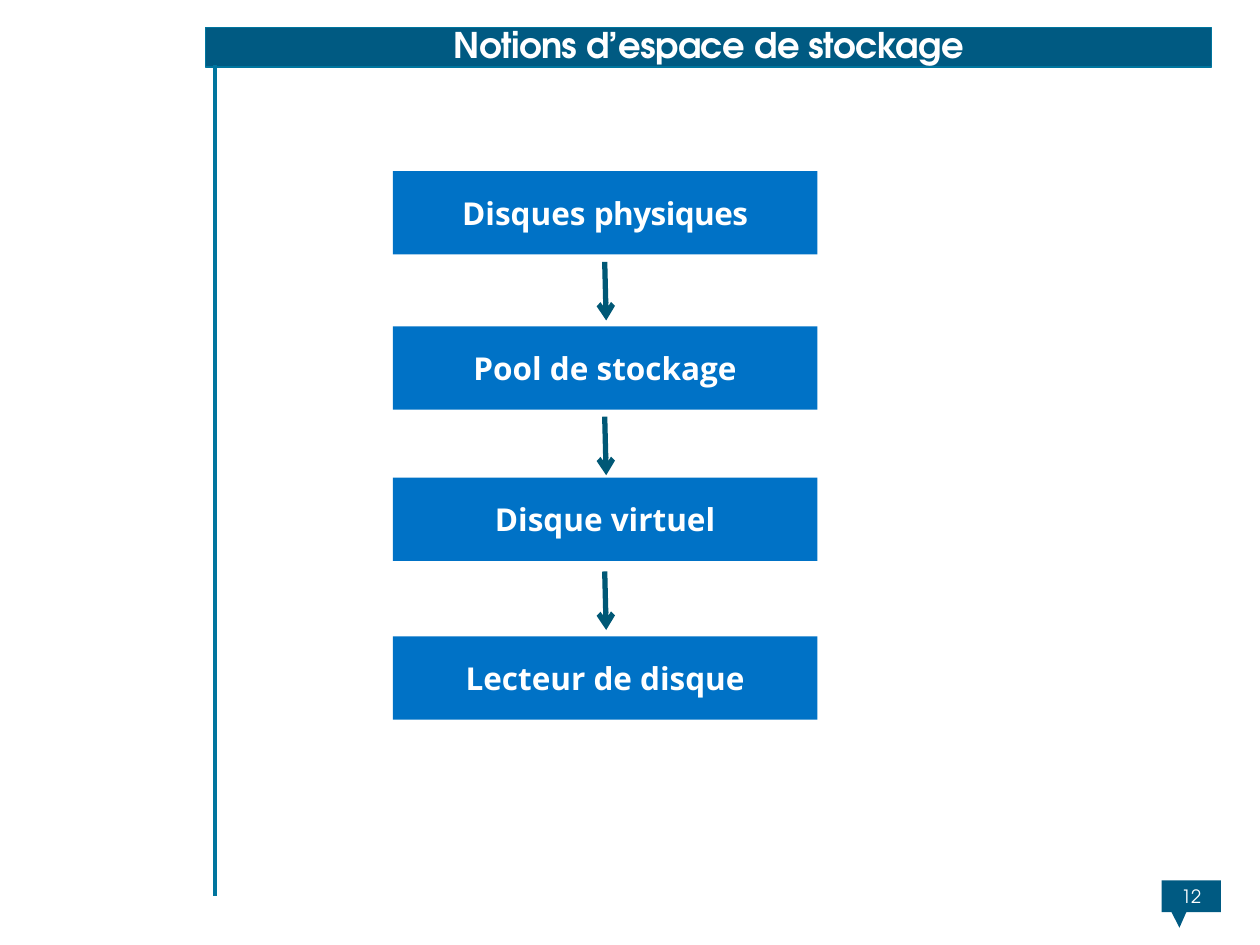
"""Build the storage space slide: a title bar and four linked steps."""
import dataclasses

import pptx
import pptx.dml.color
import pptx.enum.shapes
import pptx.enum.text
import pptx.oxml.ns
import pptx.util
from lxml import etree
from pptx.util import Cm

RGBColor = pptx.dml.color.RGBColor
Kind = pptx.enum.shapes.MSO_SHAPE
NAVY = RGBColor(0x00, 0x5A, 0x82)
TEAL = RGBColor(0x00, 0x75, 0x9E)
DARK = RGBColor(0x00, 0x58, 0x76)
BLUE = RGBColor(0x00, 0x72, 0xC6)
WHITE = RGBColor(0xFF, 0xFF, 0xFF)
HEAD_FONT = "TeX Gyre Adventor"
BODY_FONT = "Open Sans"


@dataclasses.dataclass
class Step:
    text: str
    top: float
    tight: str = ""
    inset: float = 0.25


STEPS = [
    Step("Disques ", 3.45, tight="physiques"),
    Step("Pool de stockage", 6.58, inset=0.2),
    Step("Disque virtuel", 9.63),
    Step("Lecteur de disque", 12.83),
]
BOX_LEFT, BOX_WIDTH, BOX_HEIGHT = 7.92, 8.56, 1.68
LINK_TOP, LINK_PITCH, LINK_LENGTH = 5.28, 3.12, 1.18


def write(shape, text: str, *, size: float, font: str, bold: bool = False,
          tight: str = "", inset: float = 0, wrap: bool = True,
          space: float = 1.0) -> None:
    frame = shape.text_frame
    frame.auto_size = pptx.enum.text.MSO_AUTO_SIZE.NONE
    frame.word_wrap = wrap
    frame.vertical_anchor = pptx.enum.text.MSO_ANCHOR.MIDDLE
    frame.margin_left = frame.margin_right = Cm(inset)
    frame.margin_top = frame.margin_bottom = 0
    para = frame.paragraphs[0]
    para.alignment = pptx.enum.text.PP_ALIGN.CENTER
    para.line_spacing = space
    for part, spacing in ((text, "0"), (tight, "-30")):
        if part:
            run = para.add_run()
            run.text = part
            run.font.size = pptx.util.Pt(size)
            run.font.name = font
            run.font.bold = bold
            run.font.color.rgb = WHITE
            run.font._element.set("spc", spacing)


def paint(shape, fill: RGBColor) -> None:
    shape.fill.solid()
    shape.fill.fore_color.rgb = fill
    shape.line.fill.background()


def add_box(slide, kind, left: float, top: float, width: float,
            height: float, fill: RGBColor):
    box = slide.shapes.add_shape(kind, Cm(left), Cm(top), Cm(width), Cm(height))
    box.shadow.inherit = False
    paint(box, fill)
    return box


def add_line(slide, start: tuple[float, float], end: tuple[float, float],
             color: RGBColor, width: float, arrow: bool = False) -> None:
    line = slide.shapes.add_connector(
        pptx.enum.shapes.MSO_CONNECTOR.STRAIGHT,
        *(Cm(value) for value in start + end))
    line.line.color.rgb = color
    line.line.width = pptx.util.Pt(width)
    if arrow:
        etree.SubElement(line.line._get_or_add_ln(),
                         pptx.oxml.ns.qn("a:tailEnd"), type="arrow")
    etree.SubElement(line._element.spPr, pptx.oxml.ns.qn("a:effectLst"))


def add_title(slide, text: str) -> None:
    title = slide.shapes.title
    title.left, title.top = Cm(4.14), Cm(0.56)
    title.width, title.height = Cm(20.29), Cm(0.79)
    paint(title, NAVY)
    title.line.color.rgb = TEAL
    title.line.width = pptx.util.Pt(0.75)
    write(title, "", tight=text, size=20.2, font=HEAD_FONT, bold=True, space=0.86)


def add_badge(slide, text: str) -> None:
    badge = add_box(slide, Kind.RECTANGULAR_CALLOUT, 23.42, 17.75, 1.19, 0.64, NAVY)
    badge.adjustments[0] = -0.2
    badge.adjustments[1] = 0.99
    write(badge, text, size=10.5, font=HEAD_FONT)


def add_step(slide, step: Step) -> None:
    box = add_box(slide, Kind.RECTANGLE, BOX_LEFT, step.top,
                  BOX_WIDTH, BOX_HEIGHT, BLUE)
    write(box, step.text, tight=step.tight, size=18, font=BODY_FONT,
          bold=True, inset=step.inset, wrap=False)


def main() -> None:
    deck = pptx.Presentation()
    deck.slide_width, deck.slide_height = Cm(25.4), Cm(19.05)
    slide = deck.slides.add_slide(deck.slide_layouts[5])
    add_line(slide, (4.34, 1.32), (4.34, 18.06), TEAL, 2.5)
    add_badge(slide, "12")
    add_title(slide, "Notions d’espace de stockage")
    for step in STEPS:
        add_step(slide, step)
    for index in range(len(STEPS) - 1):
        top = LINK_TOP + index * LINK_PITCH
        add_line(slide, (12.19, top), (12.22, top + LINK_LENGTH), DARK, 3, arrow=True)
    deck.save("out.pptx")


if __name__ == "__main__":
    main()
